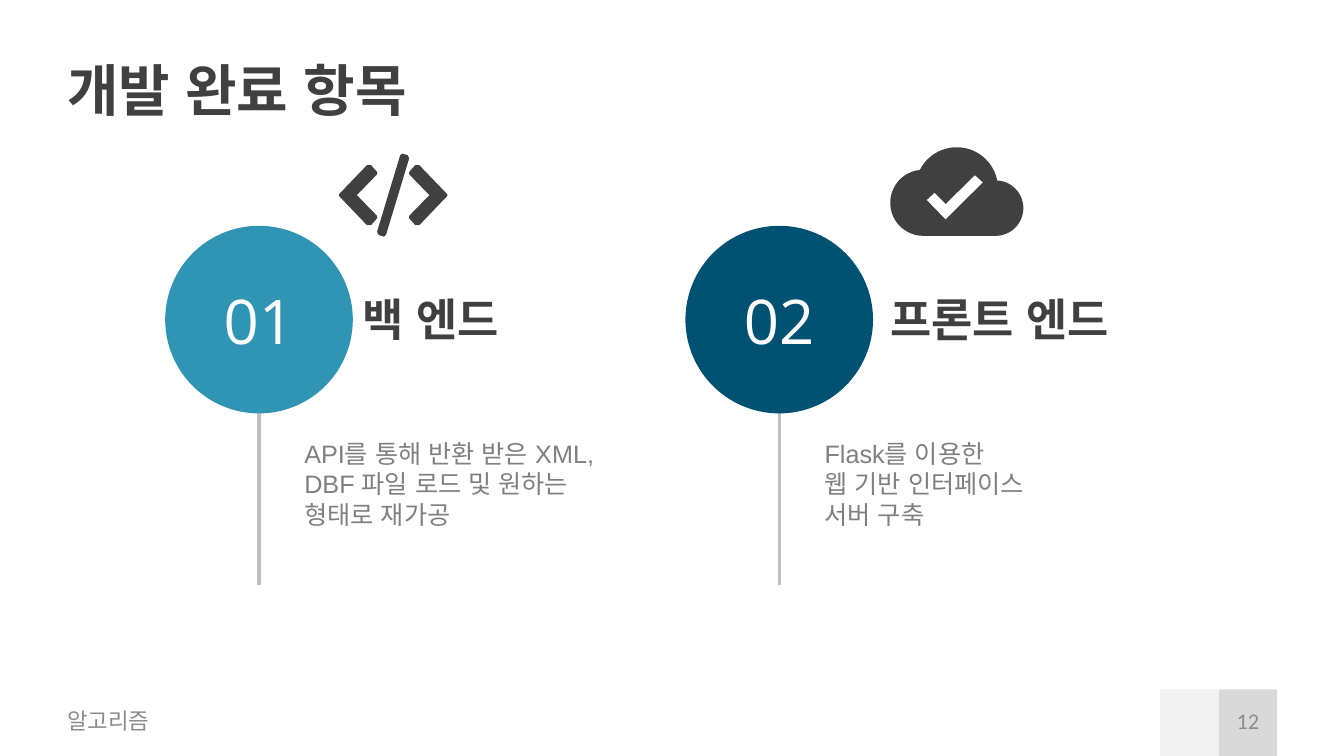
"""Build the slide that lists the finished back-end and front-end work."""
from dataclasses import dataclass
from math import cos, radians, sin

from lxml import etree
from pptx import Presentation
from pptx.dml.color import RGBColor
from pptx.enum.shapes import MSO_CONNECTOR, MSO_SHAPE
from pptx.enum.text import MSO_ANCHOR, MSO_AUTO_SIZE, PP_ALIGN
from pptx.oxml.ns import qn
from pptx.util import Pt

RECT, OVAL, LINE = MSO_SHAPE.RECTANGLE, MSO_SHAPE.OVAL, MSO_CONNECTOR.STRAIGHT
TOP, MIDDLE = MSO_ANCHOR.TOP, MSO_ANCHOR.MIDDLE
LEFT, CENTER = PP_ALIGN.LEFT, PP_ALIGN.CENTER
GROW, FIXED = MSO_AUTO_SIZE.SHAPE_TO_FIT_TEXT, MSO_AUTO_SIZE.NONE


@dataclass(frozen=True)
class Theme:
    """Colours, fonts and type sizes."""
    ink: str = "404040"
    body: str = "808080"
    muted: str = "8C8C8C"
    rule: str = "BFBFBF"
    tab_dark: str = "D9D9D9"
    tab_light: str = "F2F2F2"
    white: str = "FFFFFF"
    blue: str = "3095B4"
    navy: str = "005172"
    text_font: str = "Arial"
    footer_font: str = "Calibri"
    number_font: str = "Open Sans"
    title_size: int = 40
    number_size: int = 44
    heading_size: int = 32
    body_size: int = 18
    footer_size: int = 16


class Deck:
    """Hold the theme and the current slide, and draw elements on it."""

    def __init__(self, prs, theme):
        """Add a title-only slide."""
        self.theme = theme
        self.s = prs.slides.add_slide(prs.slide_layouts[5])

    def set_text(self, sp, text, size, color, font=None, bold=False,
                 align=LEFT, anchor=MIDDLE, pad=0, fit=FIXED):
        """Fill a shape with one formatted paragraph."""
        font = font or self.theme.text_font
        tf = sp.text_frame
        tf.word_wrap, tf.auto_size, tf.vertical_anchor = True, fit, anchor
        tf.margin_left = tf.margin_right = 0
        tf.margin_top = tf.margin_bottom = Pt(pad)
        p = tf.paragraphs[0]
        p.alignment = align
        for i, line in enumerate(text.split("\n")):
            if i:
                p.add_line_break()
            r = p.add_run()
            r.text = line
            r.font.name, r.font.size, r.font.bold = font, Pt(size), bold
            r.font.color.rgb = RGBColor.from_string(color)
            ea = etree.SubElement(r.font._element, qn("a:ea"))
            ea.set("typeface", font)

    def title(self, text, x, y, w, h):
        """Place and fill the title placeholder."""
        sp = self.s.shapes.title
        sp.left, sp.top, sp.width, sp.height = Pt(x), Pt(y), Pt(w), Pt(h)
        self.set_text(sp, text, self.theme.title_size, self.theme.ink,
                      bold=True)

    def text(self, text, x, y, w, h, size, color, **style):
        """Add a text box."""
        sp = self.s.shapes.add_textbox(Pt(x), Pt(y), Pt(w), Pt(h))
        self.set_text(sp, text, size, color, **style)

    def paint(self, sp, color):
        """Give a shape a flat fill without line or shadow."""
        sp.shadow.inherit = False
        sp.fill.solid()
        sp.fill.fore_color.rgb = RGBColor.from_string(color)
        sp.line.fill.background()

    def shape(self, kind, x, y, w, h, color):
        """Add a flat preset shape."""
        sp = self.s.shapes.add_shape(kind, Pt(x), Pt(y), Pt(w), Pt(h))
        self.paint(sp, color)
        return sp

    def line(self, x1, y1, x2, y2):
        """Add a grey rule."""
        cx = self.s.shapes.add_connector(LINE, Pt(x1), Pt(y1), Pt(x2), Pt(y2))
        cx.line.width = Pt(2.25)
        cx.line.color.rgb = RGBColor.from_string(self.theme.rule)
        etree.SubElement(cx._element.spPr, qn("a:effectLst"))

    def outline(self, *contours):
        """Add one dark freeform made of closed contours."""
        loops = [[(Pt(x), Pt(y)) for x, y in c] for c in contours]
        builder = self.s.shapes.build_freeform(*loops[0][0])
        builder.add_line_segments(loops[0][1:])
        for loop in loops[1:]:
            builder.move_to(*loop[0])
            builder.add_line_segments(loop[1:])
        self.paint(builder.convert_to_shape(), self.theme.ink)

    def code_icon(self, x, y):
        """Draw two angle brackets and a slash around a centre."""
        upper = [(25.9, 0), (11.5, -14.8), (11.5, -16.6), (15.8, -21.4),
                 (18.7, -21.4), (38.2, -1.1), (38.9, 0)]
        bracket = upper + [(dx, -dy) for dx, dy in upper[-2:0:-1]]
        for side in (1, -1):
            self.outline([(x + side * dx, y + dy) for dx, dy in bracket])
        end = [(5, -28.2), (6.5, -29.7), (10.4, -28.5), (11.5, -26.3)]
        slash = end + [(-dx, -dy) for dx, dy in end]
        self.outline([(x + dx, y + dy) for dx, dy in slash])

    def cloud_icon(self, x, y):
        """Draw a cloud with a tick cut out, from its left base point."""
        arcs = [(0, -23.6, 23.6, 90, 264), (23.9, -33.8, 29.5, 207, 349),
                (51.7, -19.8, 19.8, 275, 450)]
        cloud = [(x + dx + r * cos(radians(start + (stop - start) * i / 24)),
                  y + dy + r * sin(radians(start + (stop - start) * i / 24)))
                 for dx, dy, r, start, stop in arcs for i in range(25)]
        tick = [(36.9, -43.4), (16, -22.8), (8.1, -30.8), (2.4, -25.6),
                (16, -11.6), (42.6, -38.2)]
        self.outline(cloud, [(x + dx, y + dy) for dx, dy in tick])

    def item(self, x, number, color, heading, heading_x, heading_w, detail):
        """Add a numbered circle with its rule, heading and description."""
        t = self.theme
        size = 134
        middle = x + size / 2
        self.line(middle, 230.4, middle, 417.6)
        sp = self.shape(OVAL, x, 161.3, size, size, color)
        self.set_text(sp, number, t.number_size, t.white, t.number_font,
                      align=CENTER)
        self.text(heading, heading_x, 195.1, heading_w, 64.8,
                  t.heading_size, t.ink, bold=True)
        self.text(detail, x + 99.4, 309.6, 224, 72.7, t.body_size, t.body,
                  anchor=TOP, pad=3.6, fit=GROW)

    def footer(self, text, number):
        """Add the footer text and the page number on its two tabs."""
        t = self.theme
        tab_w, tab_x = 41.8, 870.5
        self.shape(RECT, tab_x, 492.5, tab_w, 47.5, t.tab_dark)
        self.shape(RECT, tab_x - tab_w, 492.5, tab_w, 47.5, t.tab_light)
        for words, x, w, align in ((number, tab_x, tab_w, CENTER),
                                   (text, 48, 304, LEFT)):
            self.text(words, x, 500.4, w, 28.8, t.footer_size, t.muted,
                      font=t.footer_font, align=align)


def main():
    """Build and save the presentation."""
    prs = Presentation()
    prs.slide_width, prs.slide_height = Pt(960), Pt(540)
    theme = Theme()
    deck = Deck(prs, theme)
    deck.title("개발 완료 항목", 48, 35.3, 864, 56.2)
    deck.footer("알고리즘", "12")
    deck.item(118, "01", theme.blue, "백 엔드", 259.2, 110.2,
              "API를 통해 반환 받은 XML, DBF 파일 로드 및 원하는 형태로 재가공")
    deck.item(489.6, "02", theme.navy, "프론트 엔드", 635.8, 177.1,
              "Flask를 이용한\n웹 기반 인터페이스\n서버 구축")
    deck.code_icon(280.8, 139.4)
    deck.cloud_icon(659.5, 168.5)
    prs.save("out.pptx")


if __name__ == "__main__":
    main()
